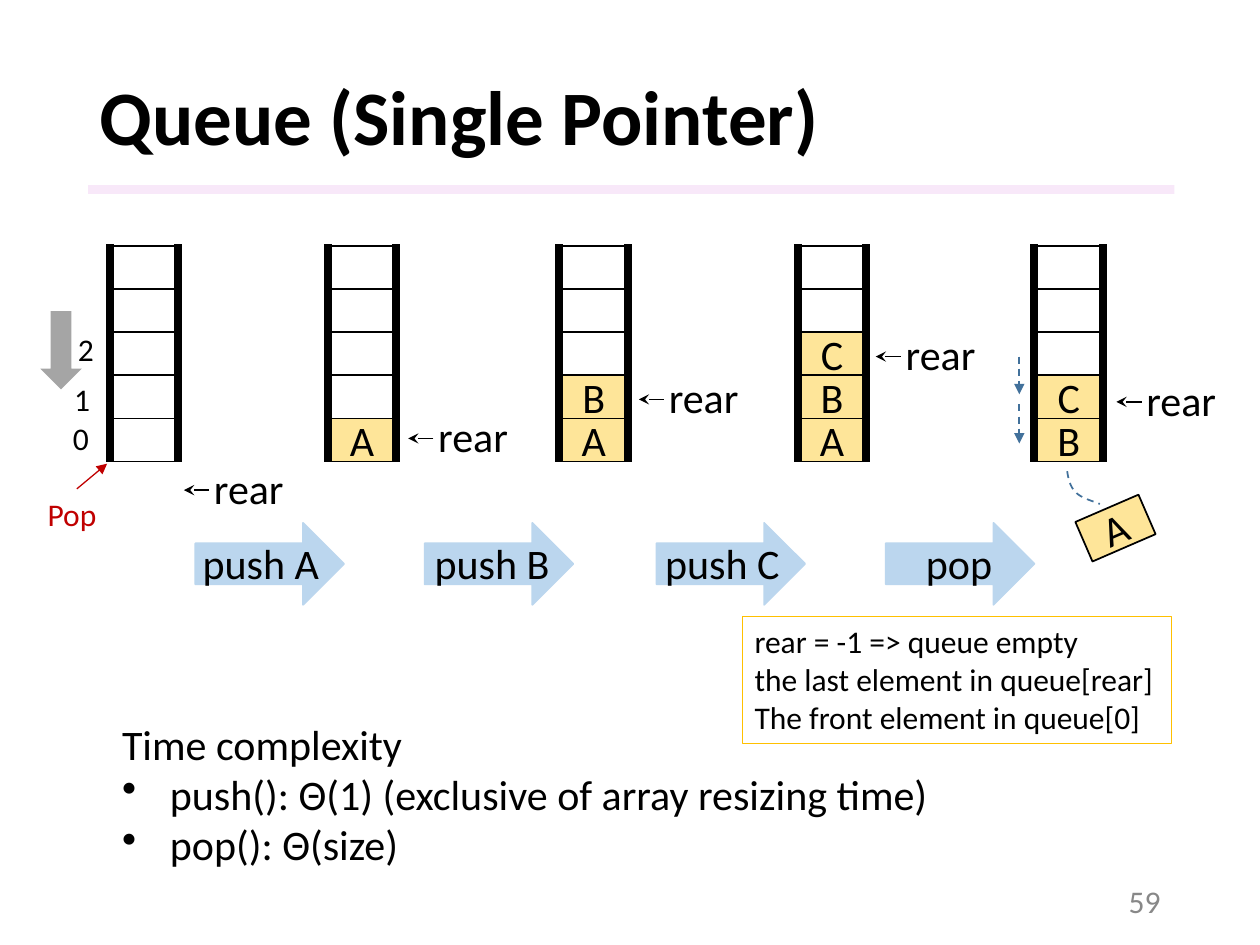
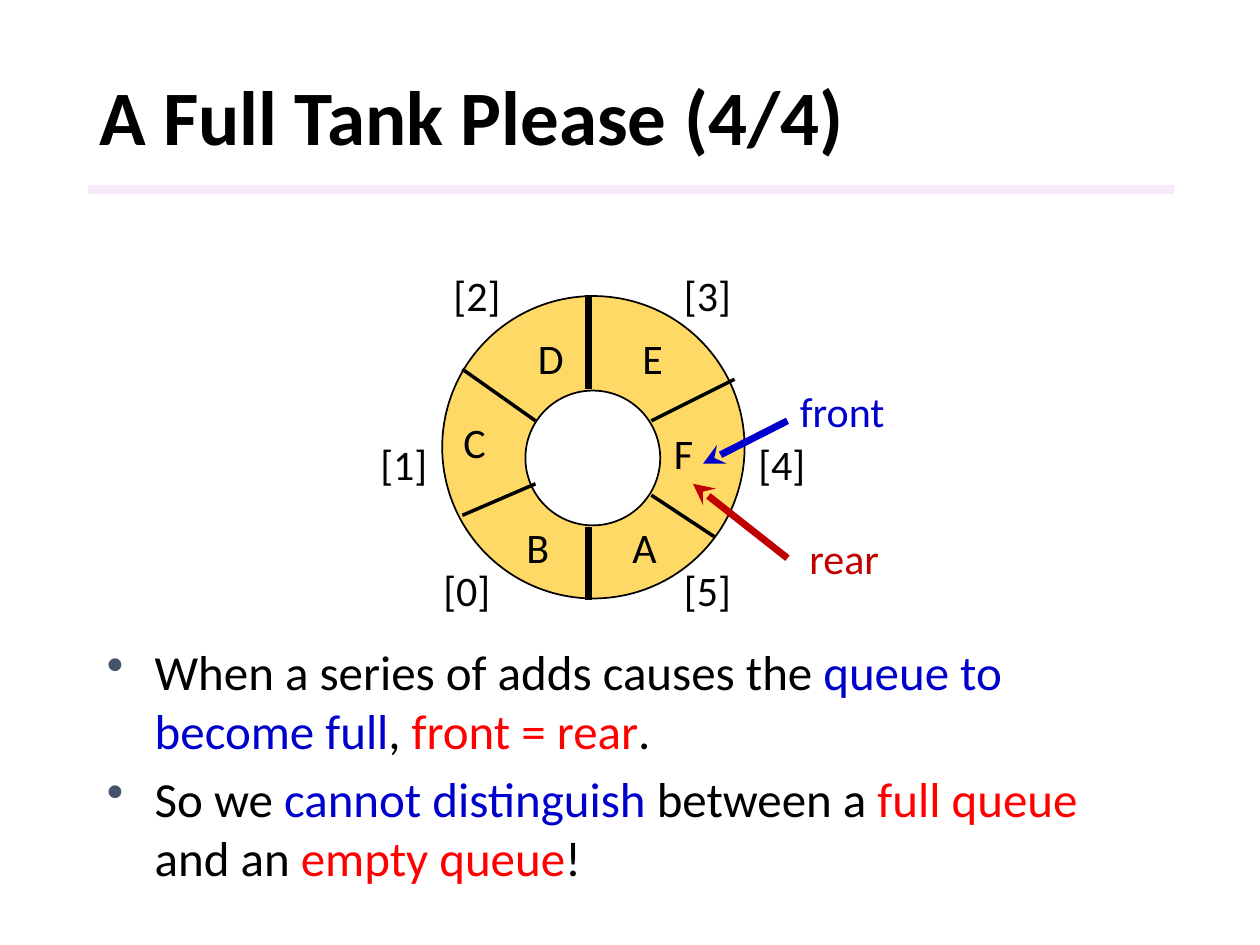
from dataclasses import dataclass
from typing import NamedTuple, Optional, Sequence, Union

from lxml.etree import SubElement
from pptx import Presentation
from pptx.dml.color import RGBColor
from pptx.enum.dml import MSO_LINE
from pptx.enum.shapes import MSO_CONNECTOR, MSO_SHAPE
from pptx.enum.text import MSO_ANCHOR, PP_ALIGN
from pptx.oxml.ns import qn
from pptx.util import Inches, Pt

SLIDE_WIDTH, SLIDE_HEIGHT = Inches(10), Inches(7.5)
COLUMNS, ROWS = 100, 75
FONT = "Calibri"

BLACK = RGBColor(0x00, 0x00, 0x00)
WHITE = RGBColor(0xFF, 0xFF, 0xFF)
BAND_PINK = RGBColor(0xF3, 0xD2, 0xF4)
PAGE_GRAY = RGBColor(0x88, 0x88, 0x88)
ARROW_GRAY = RGBColor(0xA5, 0xA5, 0xA5)
CELL_YELLOW = RGBColor(0xFE, 0xE5, 0x99)
RING_YELLOW = RGBColor(0xFF, 0xD9, 0x66)
NOTE_GOLD = RGBColor(0xFF, 0xC0, 0x00)
STEP_BLUE = RGBColor(0xBB, 0xD6, 0xEE)
MOVE_BLUE = RGBColor(0x42, 0x71, 0x9B)
BULLET_SLATE = RGBColor(0x44, 0x54, 0x6A)
BLUE = RGBColor(0x00, 0x00, 0xCC)
RED = RGBColor(0xFF, 0x00, 0x00)
DARK_RED = RGBColor(0xC0, 0x00, 0x00)


class Box(NamedTuple):
    """A rectangle in grid columns and rows."""
    left: float
    top: float
    width: float
    height: float


class Point(NamedTuple):
    column: float
    row: float


class Run(NamedTuple):
    text: str
    color: Optional[RGBColor] = None


@dataclass
class Para:
    runs: Sequence[Run]
    bullet: Optional[RGBColor] = None
    space_before: float = 0


@dataclass
class Queue:
    left: float
    items: str  # from the front, at the bottom, to the rear
    rear: Point


@dataclass
class Step:
    arrow_left: float
    label: str
    label_left: float
    label_width: float


@dataclass
class Label:
    text: str
    box: Box
    color: RGBColor = BLACK


@dataclass
class Line:
    begin: Point
    end: Point
    color: RGBColor = BLACK
    width: float = 1
    arrowhead: Optional[str] = None
    dashed: bool = False


CELL_WIDTH, CELL_HEIGHT, CELL_COUNT = 5.46, 3.42, 5
QUEUE_TOP = 19.53
QUEUES = [
    Queue(8.7, "", Point(16, 36.2)),
    Queue(26, "A", Point(33.8, 32.1)),
    Queue(44.4, "AB", Point(52.1, 29)),
    Queue(63.3, "ABC", Point(70.9, 25.6)),
    Queue(82.1, "BC", Point(90, 29.2)),
]
STEPS = [
    Step(15.5, "push A", 15.1, 11.3),
    Step(33.7, "push B", 33.5, 11.2),
    Step(52.1, "push C", 51.8, 11.2),
    Step(70.3, "pop", 72.5, 7.3),
]
INDEXES = [
    Label("0", Box(4.8, 32.8, 3.3, 4)),
    Label("1", Box(4.9, 29.7, 3.3, 4)),
    Label("2", Box(5.2, 25.7, 3.3, 4)),
    Label("Pop", Box(2.8, 38.8, 6.6, 4), DARK_RED),
]
MOVES = [
    Line(Point(80.9, 28.3), Point(80.9, 31.3), MOVE_BLUE, 1, "triangle", True),
    Line(Point(80.9, 32.1), Point(80.9, 35.2), MOVE_BLUE, 1, "triangle", True),
    Line(Point(6.1, 38.8), Point(8.5, 36.8), DARK_RED, 0.75, "triangle"),
]
# Two Bezier pieces that share the middle point
EXIT_CURVE = [Point(84.7, 37.4), Point(84.8, 38), Point(84.9, 38.6), Point(85.4, 39.1),
              Point(85.8, 39.5), Point(86.5, 39.7), Point(87.3, 40)]

SPOKES = [
    Line(Point(46.7, 23.4), Point(46.7, 30.9), width=4),
    Line(Point(46.7, 41.8), Point(46.7, 47.6), width=4),
    Line(Point(36.7, 29.3), Point(42.5, 33.4), width=2),
    Line(Point(42.5, 38.4), Point(36.7, 40.9), width=2),
    Line(Point(51.7, 33.4), Point(58.3, 30.1), width=2),
    Line(Point(51.7, 39.3), Point(56.7, 42.6), width=2),
    Line(Point(62.5, 33.4), Point(55.8, 36.8), BLUE, 4, "stealth"),
    Line(Point(62.5, 44.3), Point(55, 38.4), DARK_RED, 4, "stealth"),
]
SLOT_POINTS = [Point(34.2, 44.3), Point(29.2, 34.3), Point(35, 20.9),
               Point(53.3, 20.9), Point(59.2, 34.3), Point(53.3, 44.3)]
LETTER_POINTS = {"A": Point(49.2, 40.9), "B": Point(40.8, 40.9), "C": Point(35.8, 32.6),
                 "D": Point(41.7, 25.9), "E": Point(50, 25.9), "F": Point(52.5, 33.4)}
RING_LABELS = (
    [Label(f"[{slot}]", Box(*point, 9.2, 5)) for slot, point in enumerate(SLOT_POINTS)]
    + [Label(letter, Box(*point, 6.7, 5)) for letter, point in LETTER_POINTS.items()]
    + [Label("front", Box(62.5, 30.1, 10, 5.1), BLUE),
       Label("rear", Box(63.25, 41.8, 10, 5.1), DARK_RED)]
)


def col(count: float) -> int:
    return round(SLIDE_WIDTH * count / COLUMNS)


def row(count: float) -> int:
    return round(SLIDE_HEIGHT * count / ROWS)


def place(box: Box) -> tuple:
    return col(box.left), row(box.top), col(box.width), row(box.height)


def add_bullet(paragraph, color: RGBColor) -> None:
    properties = paragraph._p.get_or_add_pPr()
    properties.set("marL", str(Inches(0.38)))
    properties.set("indent", str(-Inches(0.38)))
    bullet_color = SubElement(properties, qn("a:buClr"))
    SubElement(bullet_color, qn("a:srgbClr"), val=str(color))
    SubElement(properties, qn("a:buChar"), char="•")


def write(frame, content: Union[str, Sequence[Para]], *, size: float = 24,
          color: RGBColor = BLACK, bold: bool = False, align=PP_ALIGN.LEFT,
          anchor=MSO_ANCHOR.TOP, wrap: bool = True, line_spacing: float = 1) -> None:
    frame.word_wrap = wrap
    frame.vertical_anchor = anchor
    paras = [Para([Run(content)])] if isinstance(content, str) else content
    for number, para in enumerate(paras):
        paragraph = frame.add_paragraph() if number else frame.paragraphs[0]
        paragraph.alignment = align
        paragraph.line_spacing = line_spacing
        if para.space_before:
            paragraph.space_before = Pt(para.space_before)
        if para.bullet is not None:
            add_bullet(paragraph, para.bullet)
        for part in para.runs:
            run = paragraph.add_run()
            run.text = part.text
            run.font.name, run.font.size, run.font.bold = FONT, Pt(size), bold
            run.font.color.rgb = color if part.color is None else part.color


def add_text(slide, box: Box, content: Union[str, Sequence[Para]], **text_format) -> None:
    write(slide.shapes.add_textbox(*place(box)).text_frame, content, **text_format)


def add_shape(slide, kind, box: Box, fill: Optional[RGBColor] = None,
              line: Optional[RGBColor] = None, line_width: float = 1):
    shape = slide.shapes.add_shape(kind, *place(box))
    shape.shadow.inherit = False
    if fill is None:
        shape.fill.background()
    else:
        shape.fill.solid()
        shape.fill.fore_color.rgb = fill
    if line is None:
        shape.line.fill.background()
    else:
        shape.line.color.rgb = line
        shape.line.width = Pt(line_width)
    return shape


def add_line(slide, line: Line) -> None:
    connector = slide.shapes.add_connector(
        MSO_CONNECTOR.STRAIGHT, col(line.begin.column), row(line.begin.row),
        col(line.end.column), row(line.end.row))
    connector.line.color.rgb = line.color
    connector.line.width = Pt(line.width)
    if line.dashed:
        connector.line.dash_style = MSO_LINE.DASH
    if line.arrowhead:
        SubElement(connector.line._get_or_add_ln(), qn("a:tailEnd"), type=line.arrowhead)
    SubElement(connector._element.spPr, qn("a:effectLst"))


def add_titled_slide(deck, title: str):
    slide = deck.slides.add_slide(deck.slide_layouts[6])
    band = add_shape(slide, MSO_SHAPE.RECTANGLE, Box(7, 14.7, 86.2, 0.7), BAND_PINK)
    band_color = band._element.spPr.find(f"{qn('a:solidFill')}/{qn('a:srgbClr')}")
    SubElement(band_color, qn("a:alpha"), val="50000")
    add_text(slide, Box(6.9, 4, 86.2, 11.1), title, size=44, bold=True,
             anchor=MSO_ANCHOR.MIDDLE, line_spacing=0.9)
    return slide


def add_cell(slide, left: float, top: float, item: str = ""):
    cell = add_shape(slide, MSO_SHAPE.RECTANGLE, Box(left, top, CELL_WIDTH, CELL_HEIGHT),
                     CELL_YELLOW if item else WHITE, BLACK)
    if item:
        write(cell.text_frame, item, align=PP_ALIGN.CENTER, anchor=MSO_ANCHOR.MIDDLE)
    return cell


def add_queue(slide, queue: Queue) -> None:
    for level, item in enumerate(reversed(queue.items.ljust(CELL_COUNT))):
        add_cell(slide, queue.left, QUEUE_TOP + level * CELL_HEIGHT, item.strip())
    for rail in (queue.left, queue.left + CELL_WIDTH):
        add_line(slide, Line(Point(rail, 19.4), Point(rail, 36.7), width=4.5))
    left, top = queue.rear
    add_line(slide, Line(Point(left + 0.6, top + 2.7), Point(left - 1.4, top + 2.7),
                         arrowhead="stealth"))
    add_text(slide, Box(left, top, 7.6, 5), "rear", wrap=False)


def add_exit_curve(slide, steps: int = 8) -> None:
    """Trace the path of the popped item with short straight pieces."""
    points = []
    for piece in (EXIT_CURVE[:4], EXIT_CURVE[3:]):
        for step in range(steps + 1):
            t = step / steps
            weights = ((1 - t) ** 3, 3 * t * (1 - t) ** 2, 3 * t * t * (1 - t), t ** 3)
            points.append((col(sum(w * p.column for w, p in zip(weights, piece))),
                           row(sum(w * p.row for w, p in zip(weights, piece)))))
    builder = slide.shapes.build_freeform(*points[0])
    builder.add_line_segments(points[1:], close=False)
    curve = builder.convert_to_shape()
    curve.shadow.inherit = False
    curve.fill.background()
    curve.line.color.rgb = MOVE_BLUE
    curve.line.width = Pt(1)
    curve.line.dash_style = MSO_LINE.DASH


def build_single_pointer(deck) -> None:
    slide = add_titled_slide(deck, "Queue (Single Pointer)")
    add_text(slide, Box(70.6, 69.5, 22.5, 4), "59", size=18, color=PAGE_GRAY,
             align=PP_ALIGN.RIGHT, anchor=MSO_ANCHOR.MIDDLE)
    add_text(slide, Box(8.7, 56.5, 66.5, 13.1), [
        Para([Run("Time complexity")]),
        Para([Run("push(): Θ(1) (exclusive of array resizing time)")], BLACK),
        Para([Run("pop(): Θ(size)")], BLACK)])
    for queue in QUEUES:
        add_queue(slide, queue)
    add_cell(slide, 85.8, 40.2, "A").rotation = 336.6
    for step in STEPS:
        add_shape(slide, MSO_SHAPE.RIGHT_ARROW, Box(step.arrow_left, 41.5, 11.8, 6.5),
                  STEP_BLUE, STEP_BLUE)
        add_text(slide, Box(step.label_left, 42.2, step.label_width, 5), step.label, wrap=False)
    add_exit_curve(slide)
    add_shape(slide, MSO_SHAPE.DOWN_ARROW, Box(3.2, 24.7, 3.3, 6.2), ARROW_GRAY)
    for label in INDEXES:
        add_text(slide, label.box, label.text, size=18, color=label.color, wrap=False)
    for move in MOVES:
        add_line(slide, move)
    note = add_shape(slide, MSO_SHAPE.RECTANGLE, Box(58.9, 48.9, 34.1, 10.1),
                     line=NOTE_GOLD, line_width=0.75)
    write(note.text_frame, [Para([Run(text)]) for text in (
        "rear = -1 => queue empty", "the last element in queue[rear]",
        "The front element in queue[0]")], size=18, wrap=False)


def build_full_tank(deck) -> None:
    slide = add_titled_slide(deck, "A Full Tank Please (4/4)")
    add_shape(slide, MSO_SHAPE.OVAL, Box(35.1, 23.5, 24, 24), RING_YELLOW, BLACK)
    add_shape(slide, MSO_SHAPE.OVAL, Box(41.7, 31, 10.7, 10.7), WHITE, BLACK)
    for spoke in SPOKES:
        add_line(slide, spoke)
    for label in RING_LABELS:
        add_text(slide, label.box, label.text, color=label.color)
    add_text(slide, Box(7.5, 50.4, 85, 22), [
        Para([Run("When a series of adds causes the "), Run("queue to become full", BLUE),
              Run(", "), Run("front = rear", RED), Run(".")], BULLET_SLATE),
        Para([Run("So we "), Run("cannot distinguish ", BLUE), Run("between a "),
              Run("full queue ", RED), Run("and an "), Run("empty queue", RED),
              Run("!")], BULLET_SLATE, space_before=5.6)], size=28)


def main() -> None:
    deck = Presentation()
    deck.slide_width, deck.slide_height = SLIDE_WIDTH, SLIDE_HEIGHT
    build_single_pointer(deck)
    build_full_tank(deck)
    deck.save("out.pptx")


if __name__ == "__main__":
    main()
